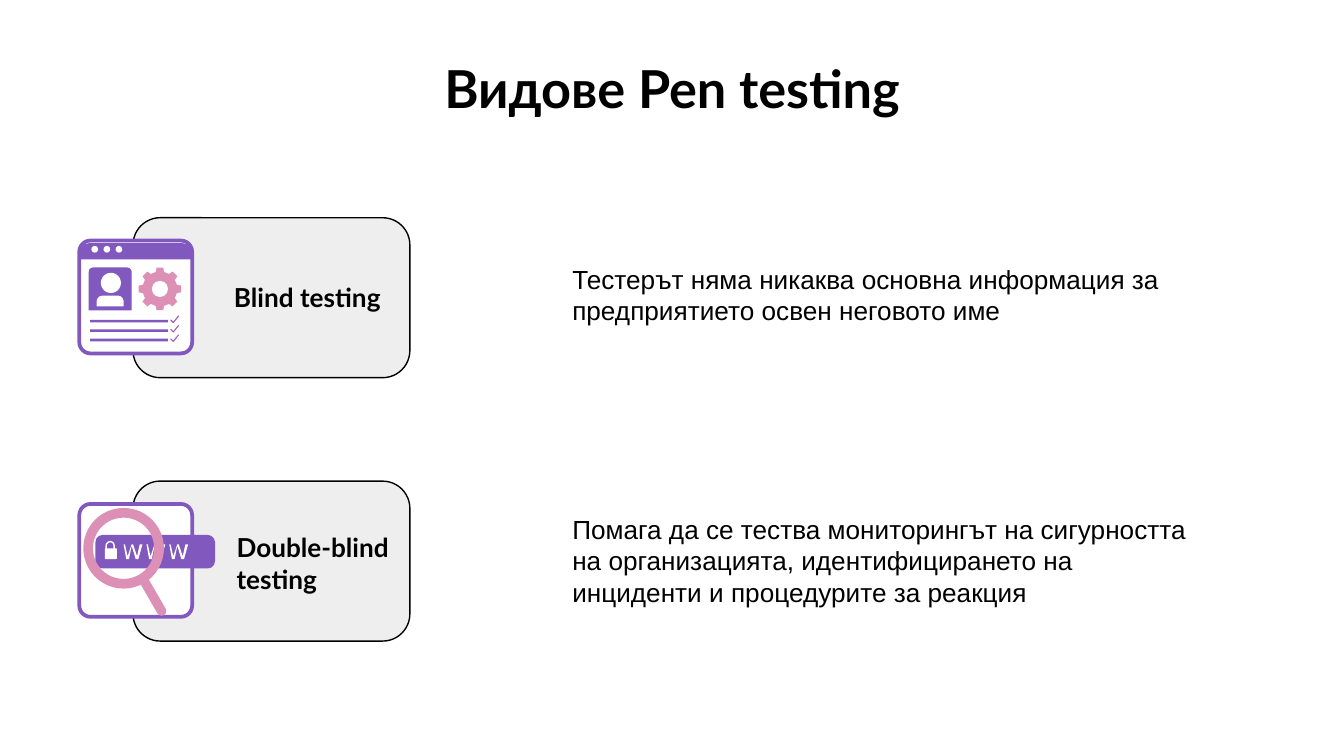
from math import cos, pi, sin
from pptx import Presentation
from pptx.dml.color import RGBColor
from pptx.enum.shapes import MSO_SHAPE
from pptx.enum.text import MSO_ANCHOR, PP_ALIGN
from pptx.util import Inches, Pt

RECT, OVAL, DONUT = MSO_SHAPE.RECTANGLE, MSO_SHAPE.OVAL, MSO_SHAPE.DONUT
ROUND, ROUND_TOP = MSO_SHAPE.ROUNDED_RECTANGLE, MSO_SHAPE.ROUND_2_SAME_RECTANGLE
TOP, MIDDLE = MSO_ANCHOR.TOP, MSO_ANCHOR.MIDDLE
LEFT, CENTER = PP_ALIGN.LEFT, PP_ALIGN.CENTER

# Content
TITLE = "Видове Pen testing"
ROWS = [
    {"label": "Blind testing", "label_at": (1.74, 0.49), "body_at": (0.29, 4.57, 0.57),
     "body": "Тестерът няма никаква основна информация за предприятието освен неговото име"},
    {"label": "Double-blind testing", "label_at": (1.76, 0.51), "body_at": (0.19, 4.92, 0.81),
     "body": "Помага да се тества мониторингът на сигурността на организацията, "
             "идентифицирането на инциденти и процедурите за реакция"},
]
COLORS = {"black": "000000", "card": "EEEEEE", "white": "FFFFFF",
          "purple": "8058BE", "pink": "DD90B6", "tick": "A060AD"}

# Grid, in inches; the slide is 16:9
SLIDE_W = 10
SLIDE_H = SLIDE_W * 9 / 16
FIRST_ROW, ROW_STEP = 1.62, 1.96
CARD_LEFT, CARD_W, CARD_H = 0.99, 2.06, 1.19
ICON_LEFT, ICON_DROP, ICON_SIZE = 0.59, 0.17, 0.84
BODY_LEFT = 4.16

deck = Presentation()
deck.slide_width, deck.slide_height = Inches(SLIDE_W), Inches(SLIDE_H)
page = deck.slides.add_slide(deck.slide_layouts[6])


def rgb(name):
    return RGBColor.from_string(COLORS[name])


def paint(shape, fill=None, line=None, weight=0.75):
    shape.shadow.inherit = False
    if fill:
        shape.fill.solid()
        shape.fill.fore_color.rgb = rgb(fill)
    else:
        shape.fill.background()
    if line:
        shape.line.color.rgb = rgb(line)
        shape.line.width = Pt(weight)
    else:
        shape.line.fill.background()
    return shape


def add_preset(kind, left, top, width, height, fill=None, line=None, weight=0.75, adjust=None):
    shape = page.shapes.add_shape(kind, Inches(left), Inches(top), Inches(width), Inches(height))
    if adjust is not None:
        shape.adjustments[0] = adjust
    return paint(shape, fill, line, weight)


def add_outline(points, left, top, close=True, **style):
    spots = [(Inches(left + x), Inches(top + y)) for x, y in points]
    builder = page.shapes.build_freeform(*spots[0])
    builder.add_line_segments(spots[1:], close=close)
    return paint(builder.convert_to_shape(), **style)


def add_text(text, left, top, width, height, size=14, font="Arial", bold=False,
             align=LEFT, anchor=TOP, insets=(0.1, 0.05)):
    box = page.shapes.add_textbox(Inches(left), Inches(top), Inches(width), Inches(height))
    frame = box.text_frame
    frame.word_wrap = True
    frame.vertical_anchor = anchor
    frame.margin_left = frame.margin_right = Inches(insets[0])
    frame.margin_top = frame.margin_bottom = Inches(insets[1])
    para = frame.paragraphs[0]
    para.text, para.alignment = text, align
    para.font.name, para.font.size, para.font.bold = font, Pt(size), bold
    para.font.color.rgb = rgb("black")


def gear_points(teeth=8, outer=0.16, inner=0.13):
    """Corners of a gear around its centre: two outer and two inner per tooth."""
    corners = [(-0.2, outer), (0.2, outer), (0.3, inner), (0.7, inner)]
    turns = [((tooth + share) * 2 * pi / teeth, radius)
             for tooth in range(teeth) for share, radius in corners]
    return [(radius * cos(angle), radius * sin(angle)) for angle, radius in turns]


def draw_profile_icon(x, y):
    # Portrait
    add_preset(ROUND_TOP, x + 0.07, y + 0.2, 0.32, 0.32, "purple", adjust=0.1)
    add_preset(OVAL, x + 0.16, y + 0.24, 0.15, 0.15, "white")
    add_preset(ROUND_TOP, x + 0.13, y + 0.41, 0.2, 0.08, "white", adjust=0.5)
    # Window bar
    add_preset(ROUND_TOP, x + 0.01, y + 0.02, 0.82, 0.12, "purple", adjust=0.5)
    for i in range(3):
        add_preset(OVAL, x + 0.09 + i * 0.09, y + 0.04, 0.05, 0.05, "white")
    # Checked lines
    for i in range(3):
        line_top = y + 0.59 + i * 0.07
        add_preset(RECT, x + 0.08, line_top, 0.58, 0.02, "purple")
        add_outline([(0, 0.03), (0.02, 0.05), (0.06, 0)], x + 0.68, line_top - 0.03,
                    close=False, line="tick", weight=0.6)
    # Gear
    add_outline(gear_points(), x + 0.6, y + 0.36, fill="pink")
    add_preset(OVAL, x + 0.54, y + 0.3, 0.12, 0.12, "white")


def draw_search_icon(x, y):
    # Address bar with padlock
    add_preset(ROUND, x + 0.12, y + 0.23, 0.89, 0.25, "purple", adjust=0.22)
    add_preset(ROUND, x + 0.19, y + 0.33, 0.09, 0.08, "white", adjust=0.08)
    add_preset(ROUND, x + 0.2, y + 0.28, 0.06, 0.08, line="white", adjust=0.5)
    # Three letter outlines
    letter = [(0, 0), (0.02, 0.11), (0.04, 0.11), (0.06, 0.01), (0.09, 0.11), (0.11, 0.11),
              (0.14, 0), (0.12, 0), (0.1, 0.09), (0.07, 0), (0.06, 0), (0.03, 0.09), (0.01, 0)]
    for i in range(3):
        add_outline(letter, x + 0.33 + i * 0.17, y + 0.3, fill="white")
    # Magnifier
    add_preset(DONUT, x + 0.03, y + 0.03, 0.6, 0.6, "pink", adjust=0.12)
    handle = add_preset(ROUND, x + 0.51, y + 0.51, 0.07, 0.34, "pink", adjust=0.5)
    handle.rotation = -30


# Title
add_text(TITLE, 0.5, 0.32, 9, 0.63, 28, "Lato", True, CENTER, insets=(0.1, 0.1))

# Cards with icons, labels and descriptions
for i, (row, draw_icon) in enumerate(zip(ROWS, (draw_profile_icon, draw_search_icon))):
    top = FIRST_ROW + i * ROW_STEP
    icon_top = top + ICON_DROP
    add_preset(ROUND, CARD_LEFT, top, CARD_W, CARD_H, "card", "black", adjust=0.17)
    add_preset(ROUND, ICON_LEFT, icon_top, ICON_SIZE, ICON_SIZE, "white", "purple", 2, 0.1)
    draw_icon(ICON_LEFT, icon_top)
    label_left, label_drop = row["label_at"]
    add_text(row["label"], label_left, top + label_drop, 1.15, 0.2, font="Lato", bold=True,
             anchor=MIDDLE, insets=(0, 0.1))
    body_drop, body_w, body_h = row["body_at"]
    add_text(row["body"], BODY_LEFT, top + body_drop, body_w, body_h)

deck.save("out.pptx")
